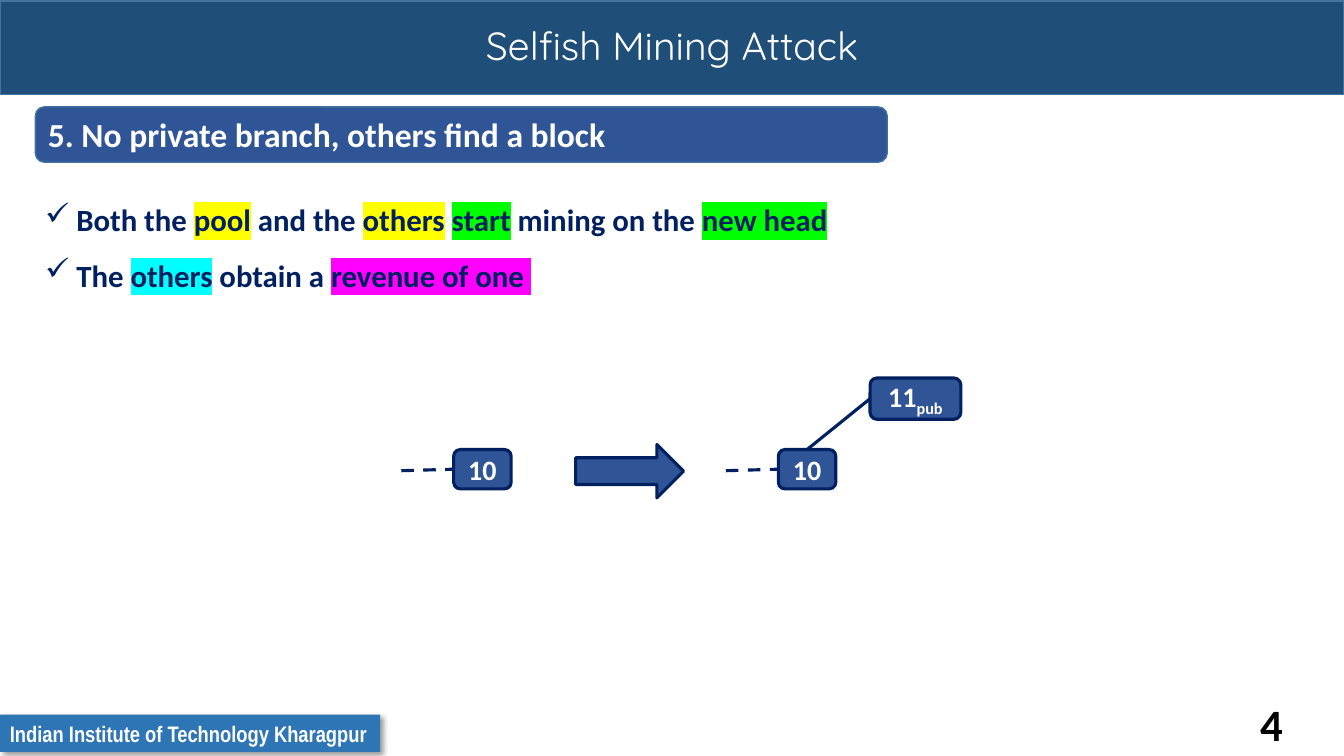
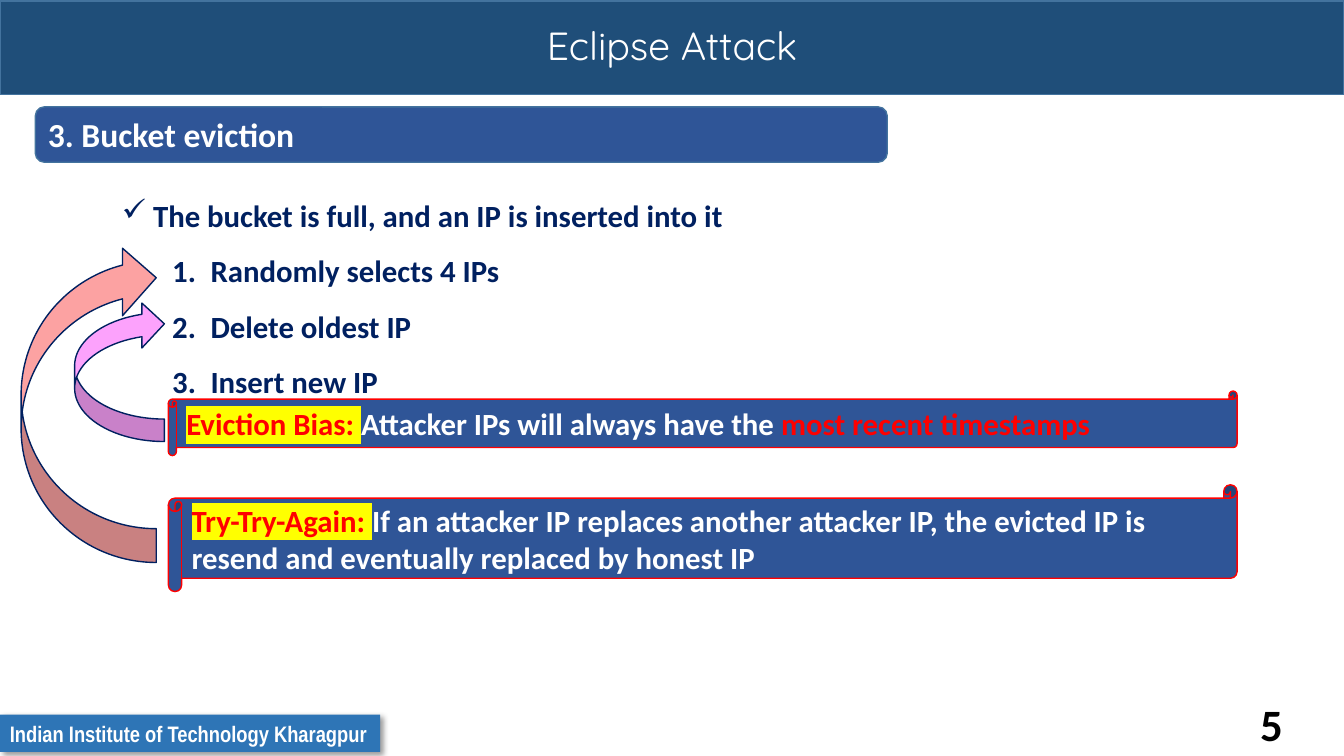
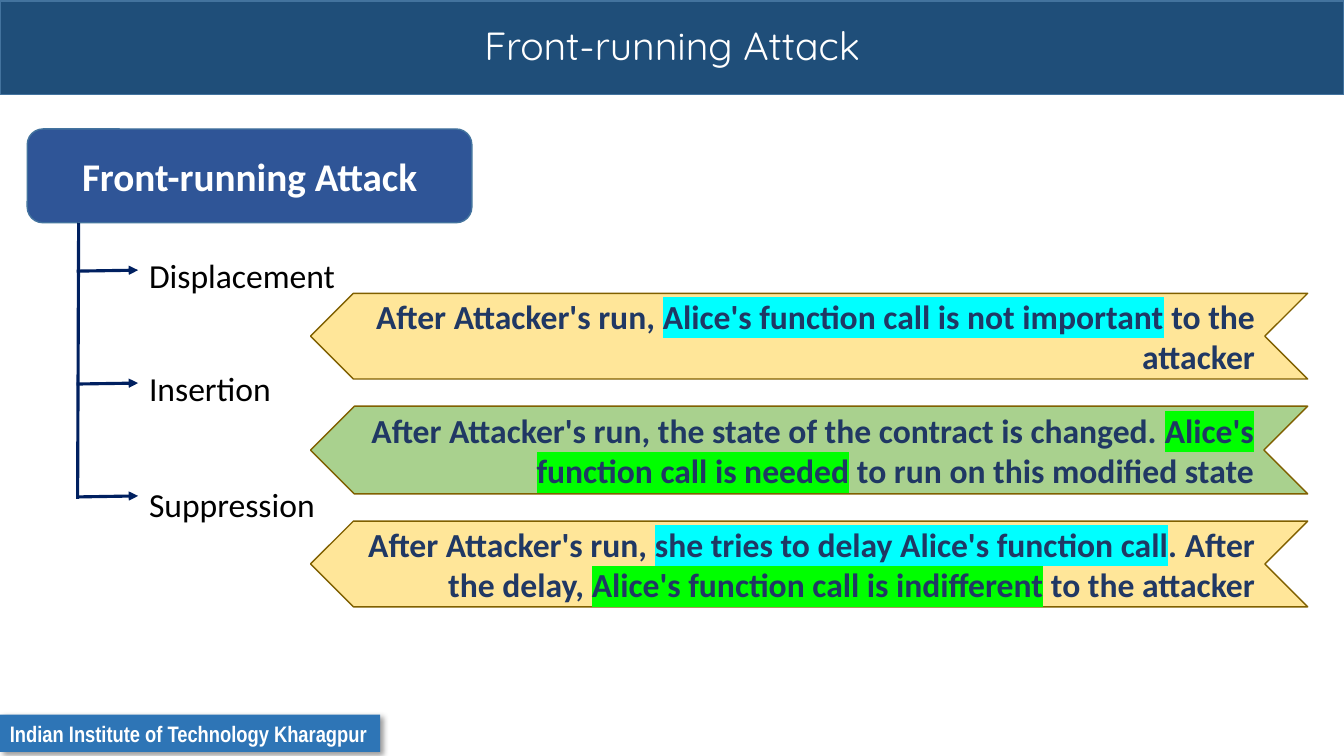
"""Build three slides on blockchain attacks."""
from pptx import Presentation
from pptx.dml.color import RGBColor
from pptx.enum.dml import MSO_LINE
from pptx.enum.shapes import MSO_CONNECTOR, MSO_SHAPE as SHAPE
from pptx.enum.text import MSO_ANCHOR, MSO_AUTO_SIZE, PP_ALIGN as ALIGN
from pptx.oxml import parse_xml
from pptx.oxml.ns import nsdecls
from pptx.oxml.xmlchemy import OxmlElement
from pptx.util import Inches, Pt

C = {
    "band": "1F4E79", "edge": "43739E", "footer": "2E75B6", "blue": "2F5597",
    "navy": "002060", "ink": "203864", "white": "FFFFFF", "black": "000000",
    "red": "FF0000", "yellow": "FFFF00", "lime": "00FF00", "cyan": "00FFFF",
    "magenta": "FF00FF", "pink": "FCA2FC", "salmon": "FCA2A2",
    "sand": "FFE699", "green": "A9D18E", "brown": "806000",
}


def add_box(s, kind, at, fill=None, line=None, width=1):
    at = [Inches(v) for v in at]
    if kind is None:
        sp = s.shapes.add_textbox(*at)
    else:
        sp = s.shapes.add_shape(kind, *at)
        sp.shadow.inherit = False
        sp.fill.solid()
        sp.fill.fore_color.rgb = RGBColor.from_string(C[fill])
        if line:
            sp.line.color.rgb = RGBColor.from_string(C[line])
            sp.line.width = Pt(width)
        else:
            sp.line.fill.background()
        sp.text_frame.vertical_anchor = MSO_ANCHOR.MIDDLE
    sp.text_frame.word_wrap = True
    return sp


def write(p, runs, size, color="white", bold=True, align=ALIGN.LEFT, font="Calibri"):
    p.alignment = align
    for text, mark, own in [(*run, None, None)[:3] for run in runs]:
        r = p.add_run()
        r.text = text
        r.font.size = Pt(size)
        r.font.bold = bold
        r.font.name = font
        r.font.color.rgb = RGBColor.from_string(C[own or color])
        if mark:
            r._r.rPr.find("{*}solidFill").addnext(parse_xml(
                f'<a:highlight {nsdecls("a")}><a:srgbClr val="{C[mark]}"/></a:highlight>'))


prs = Presentation()
prs.slide_width, prs.slide_height = Inches(13.33), Inches(7.5)
slides, lines = [], []

for title, heading, number in [
    ("Selfish Mining Attack", "5. No private branch, others find a block", "4"),
    ("Eclipse Attack", "3. Bucket eviction", "5"),
    ("Front-running Attack", None, None),
]:
    s = prs.slides.add_slide(prs.slide_layouts[6])
    slides.append(s)
    band = add_box(s, SHAPE.RECTANGLE, (0, 0.01, 13.33, 0.93), "band", "edge")
    p = band.text_frame.paragraphs[0]
    p.line_spacing = 0.9
    write(p, [(title,)], 28, bold=False, align=ALIGN.CENTER, font="Quicksand")
    footer = add_box(s, SHAPE.RECTANGLE, (0, 7.09, 3.77, 0.37), "footer")
    tf = footer.text_frame
    tf.word_wrap = False
    tf.auto_size = MSO_AUTO_SIZE.SHAPE_TO_FIT_TEXT
    write(tf.paragraphs[0], [("Indian Institute of Technology Kharagpur",)], 16, font="Arial Narrow")
    footer._element.spPr.find("{*}effectLst").append(parse_xml(
        f'<a:outerShdw {nsdecls("a")} blurRad="{Pt(4)}" dist="{Pt(3)}" dir="2700000" algn="tl" '
        'rotWithShape="0"><a:srgbClr val="000000"><a:alpha val="40000"/></a:srgbClr></a:outerShdw>'))
    if heading:
        sp = add_box(s, None, (12.4, 6.86, 0.87, 0.64))
        write(sp.text_frame.paragraphs[0], [(number,)], 32, "black")
        sp = add_box(s, SHAPE.ROUNDED_RECTANGLE, (0.35, 1.06, 8.45, 0.55), "blue", "edge")
        write(sp.text_frame.paragraphs[0], [(heading,)], 24)

mining, eclipse, front = slides

for s, at, items in [
    (mining, (0.35, 1.76, 12.26, 1.15), [
        (0, [("Both the ",), ("pool", "yellow"), (" and the ",), ("others", "yellow"), (" ",),
             ("start", "lime"), (" mining on the ",), ("new head", "lime")]),
        (0, [("The ",), ("others", "cyan"), (" obtain a ",), ("revenue of one ", "magenta")]),
    ]),
    (eclipse, (1.11, 1.72, 12.15, 2.27), [
        (0, [("The bucket is full, and an IP is inserted into it",)]),
        (1, [("Randomly selects 4 IPs",)]),
        (1, [("Delete oldest IP",)]),
        (1, [("Insert new IP",)]),
    ]),
]:
    tf = add_box(s, None, at).text_frame
    for i, (level, runs) in enumerate(items):
        p = tf.add_paragraph() if i else tf.paragraphs[0]
        p.level = level
        p.line_spacing = 1.5
        margin, hang = [(0.31, 0.31), (0.88, 0.38)][level]
        pPr = p._p.get_or_add_pPr()
        pPr.set("marL", str(Inches(margin)))
        pPr.set("indent", str(-Inches(hang)))
        bullet = OxmlElement("a:buAutoNum" if level else "a:buChar")
        bullet.set(*(("type", "arabicPeriod") if level else ("char", "✓")))
        pPr.append(bullet)
        write(p, runs, 22, "navy")

for x in (4.5, 7.72):
    block = add_box(mining, SHAPE.ROUNDED_RECTANGLE, (x, 4.46, 0.57, 0.39), "blue", "navy", 2.25)
    write(block.text_frame.paragraphs[0], [("10",)], 20, align=ALIGN.CENTER)
    dash = mining.shapes.add_connector(
        MSO_CONNECTOR.STRAIGHT, Inches(x - 0.52), Inches(4.67), Inches(x), Inches(4.66))
    dash.end_connect(block, 1)
    dash.line.dash_style = MSO_LINE.DASH
    lines.append(dash)
add_box(mining, SHAPE.RIGHT_ARROW, (5.71, 4.41, 1.07, 0.53), "blue", "navy", 2.25)
public = add_box(mining, SHAPE.ROUNDED_RECTANGLE, (8.63, 3.75, 0.9, 0.41), "blue", "navy", 2.25)
p = public.text_frame.paragraphs[0]
write(p, [("11",), ("pub",)], 20, align=ALIGN.CENTER)
p.runs[1]._r.rPr.set("baseline", "-25000")
link = mining.shapes.add_connector(
    MSO_CONNECTOR.STRAIGHT, Inches(8.63), Inches(3.96), Inches(8), Inches(4.46))
link.begin_connect(public, 1)
link.end_connect(block, 0)
lines.append(link)

for top, height, runs, arrow_at, fill in [
    (3.88, 0.64, [("Eviction Bias:", "yellow", "red"), (" ", "yellow"),
                  ("Attacker IPs will always have the ",), ("most recent timestamps", None, "red")],
     (0.74, 2.99, 0.89, 1.39), "pink"),
    (4.81, 1.06, [("Try-Try-Again:", "yellow", "red"), (" ", "yellow"),
                  ("If an attacker IP replaces another attacker IP, the evicted IP is "
                   "resend and eventually replaced by honest IP",)],
     (0.21, 2.42, 1.34, 3.16), "salmon"),
]:
    scroll = add_box(eclipse, SHAPE.HORIZONTAL_SCROLL, (1.67, top, 10.6, height), "blue", "red")
    write(scroll.text_frame.paragraphs[0], runs, 22)
    arrow = add_box(eclipse, SHAPE.CURVED_RIGHT_ARROW, arrow_at, fill, "navy")
    arrow.rotation = 180
    arrow._element.spPr.xfrm.set("flipH", "1")

root = add_box(front, SHAPE.ROUNDED_RECTANGLE, (0.27, 1.28, 4.41, 0.93), "blue", "edge")
write(root.text_frame.paragraphs[0], [("Front-running Attack",)], 28, align=ALIGN.CENTER)
lines.append(front.shapes.add_connector(
    MSO_CONNECTOR.STRAIGHT, Inches(0.78), Inches(2.21), Inches(0.77), Inches(4.95)))
for i, (name, label_top, top, height, fill, runs) in enumerate([
    ("Displacement", 2.48, 2.91, 0.85, "sand", [
        ("After Attacker's run, ",), ("Alice's function call is not important", "cyan"),
        (" to the attacker",)]),
    ("Insertion", 3.6, 4.03, 0.87, "green", [
        ("After Attacker's run, the state of the contract is changed. ",),
        ("Alice's function call is needed", "lime"), (" to run on this modified state",)]),
    ("Suppression", 4.75, 5.17, 0.85, "sand", [
        ("After Attacker's run, ",), ("she tries to delay Alice's function call", "cyan"),
        (". After the delay, ",), ("Alice's function call is indifferent", "lime"),
        (" to the attacker",)]),
]):
    y = 2.69 + 1.12 * i
    branch = front.shapes.add_connector(
        MSO_CONNECTOR.STRAIGHT, Inches(0.76), Inches(y), Inches(1.37), Inches(y - 0.01))
    tail = OxmlElement("a:tailEnd")
    tail.set("type", "triangle")
    branch.line._get_or_add_ln().append(tail)
    lines.append(branch)
    label = add_box(front, None, (1.38, label_top, 3, 0.5))
    write(label.text_frame.paragraphs[0], [(name,)], 24, "black", bold=False)
    chevron = add_box(front, SHAPE.CHEVRON, (3.08, top, 9.89, height), fill, "brown")
    chevron._element.spPr.xfrm.set("flipH", "1")
    write(chevron.text_frame.paragraphs[0], runs, 24, "ink", align=ALIGN.RIGHT)

for line in lines:
    line.line.color.rgb = RGBColor.from_string(C["navy"])
    line.line.width = Pt(2.25)
    line._element.spPr.append(OxmlElement("a:effectLst"))

prs.save("out.pptx")
